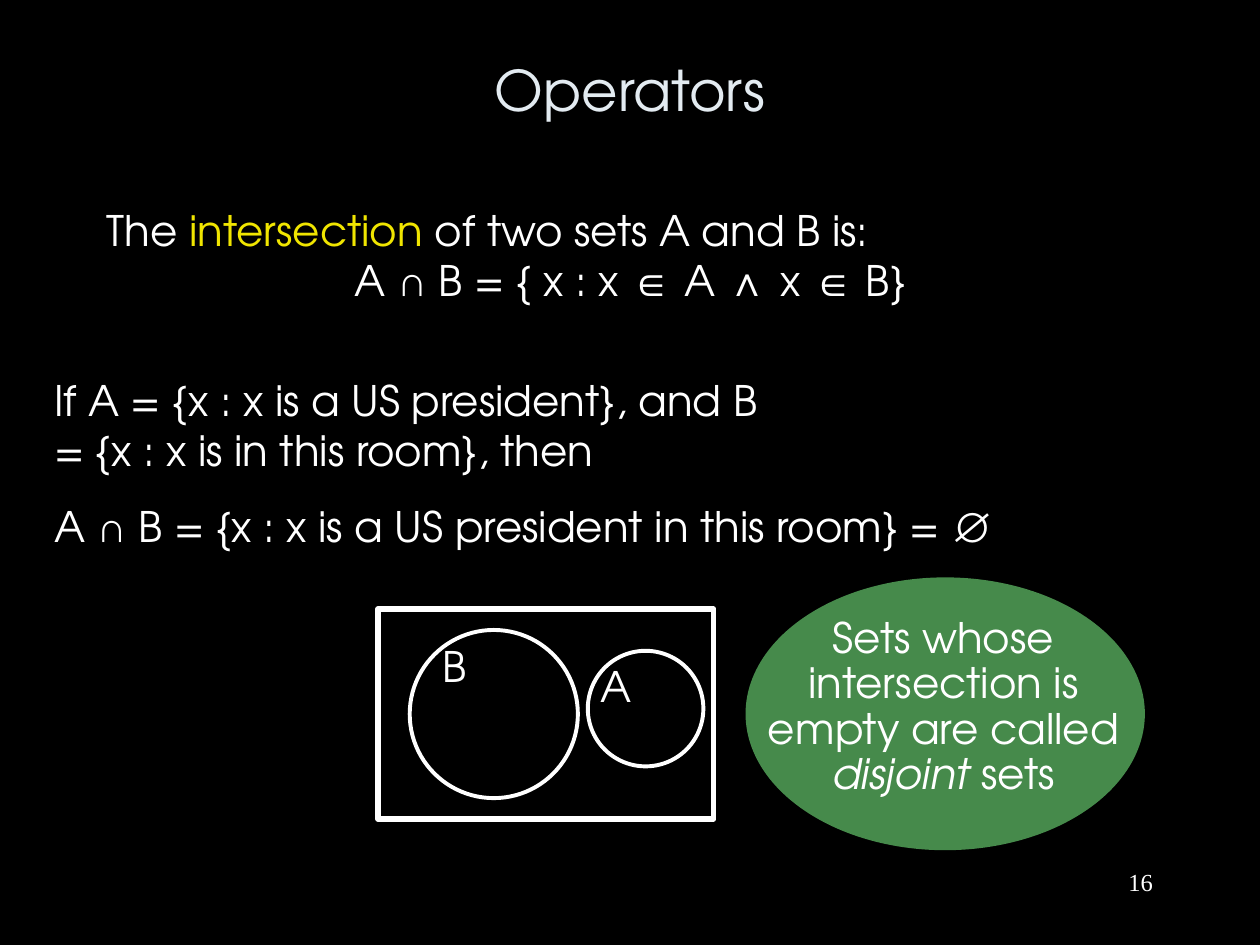
"""Build the slide on set intersection and disjoint sets."""
from itertools import groupby

from pptx import Presentation
from pptx.dml.color import RGBColor
from pptx.enum.shapes import MSO_SHAPE
from pptx.enum.text import MSO_ANCHOR, PP_ALIGN
from pptx.util import Cm, Pt

BLACK = RGBColor(0x00, 0x00, 0x00)
WHITE = RGBColor(0xFF, 0xFF, 0xFF)
PALE_BLUE = RGBColor(0xE3, 0xEB, 0xF1)
YELLOW = RGBColor(0xF0, 0xE5, 0x00)
GREEN = RGBColor(0x46, 0x8A, 0x4B)
LEFT, CENTER, RIGHT = PP_ALIGN.LEFT, PP_ALIGN.CENTER, PP_ALIGN.RIGHT
TOP, MIDDLE = MSO_ANCHOR.TOP, MSO_ANCHOR.MIDDLE
RECTANGLE, OVAL = MSO_SHAPE.RECTANGLE, MSO_SHAPE.OVAL
MAIN_FONT, SYMBOL_FONT, NUMBER_FONT = "TeX Gyre Adventor", "Arial", "Times New Roman"
SYMBOLS = "∩∈∧∅"


def is_symbol(character):
    return character in SYMBOLS


def add_text(page, place, lines, size=24, color=WHITE, align=LEFT,
             font=MAIN_FONT, spacing=1.0, anchor=TOP):
    box = page.shapes.add_textbox(*map(Cm, place))
    frame = box.text_frame
    frame.word_wrap = True
    frame.vertical_anchor = anchor
    frame.text = "\n".join(lines)
    for para, line in zip(frame.paragraphs, lines):
        para.text = ""
        para.alignment = align
        para.line_spacing = spacing
        for symbolic, characters in groupby(line, is_symbol):
            span = para.add_run()
            span.text = "".join(characters)
            span.font.name = SYMBOL_FONT if symbolic else font
            span.font.size = Pt(size)
            span.font.color.rgb = color
    return frame


deck = Presentation()
deck.slide_width, deck.slide_height = Cm(25.4), Cm(19.05)
page = deck.slides.add_slide(deck.slide_layouts[6])
page.background.fill.solid()
page.background.fill.fore_color.rgb = BLACK

add_text(page, (1.9, 0.56, 21.6, 2.46), ["Operators"], size=32,
         color=PALE_BLUE, align=CENTER, anchor=MIDDLE)

definition = add_text(page, (1.9, 3.99, 21.6, 12.95),
                      ["The ", "A ∩ B = { x : x ∈ A ∧ x ∈ B}"])
definition.paragraphs[1].alignment = CENTER
for text, color in (("intersection", YELLOW), (" of two sets A and B is:", WHITE)):
    span = definition.paragraphs[0].add_run()
    span.text = text
    span.font.name = MAIN_FONT
    span.font.size = Pt(24)
    span.font.color.rgb = color

add_text(page, (0.84, 7.42, 14.81, 2.34),
         ["If A = {x : x is a US president}, and B = {x : x is in this room}, then"])
add_text(page, (0.84, 9.96, 20.32, 1.47),
         ["A ∩ B = {x : x is a US president in this room} = ∅"])

outlines = (
    (RECTANGLE, (7.62, 12.28, 6.77, 4.23), 3),
    (OVAL, (8.26, 12.7, 3.39, 3.39), 2.25),
    (OVAL, (11.85, 13.12, 2.33, 2.33), 2.25),
)
for kind, place, weight in outlines:
    outline = page.shapes.add_shape(kind, *map(Cm, place))
    outline.shadow.inherit = False
    outline.fill.background()
    outline.line.color.rgb = WHITE
    outline.line.width = Pt(weight)
add_text(page, (11.85, 13.3, 1.07, 1.27), ["A"], spacing=0.9)
add_text(page, (8.68, 12.9, 1.27, 1.47), ["B"], spacing=0.9)

bubble = page.shapes.add_shape(OVAL, Cm(15.03), Cm(11.64), Cm(8.05), Cm(5.5))
bubble.shadow.inherit = False
bubble.fill.solid()
bubble.fill.fore_color.rgb = GREEN
bubble.line.fill.background()
remark = add_text(page, (15.03, 12.32, 7.98, 3.91),
                  ["Sets whose intersection is empty are called "],
                  align=CENTER, spacing=0.9)
for text, italic in (("disjoint", True), (" sets", False)):
    span = remark.paragraphs[0].add_run()
    span.text = text
    span.font.name = MAIN_FONT
    span.font.size = Pt(24)
    span.font.italic = italic
    span.font.color.rgb = WHITE

add_text(page, (18.2, 17.36, 5.29, 1.27), ["16"], size=14, align=RIGHT, font=NUMBER_FONT)

deck.save("out.pptx")
